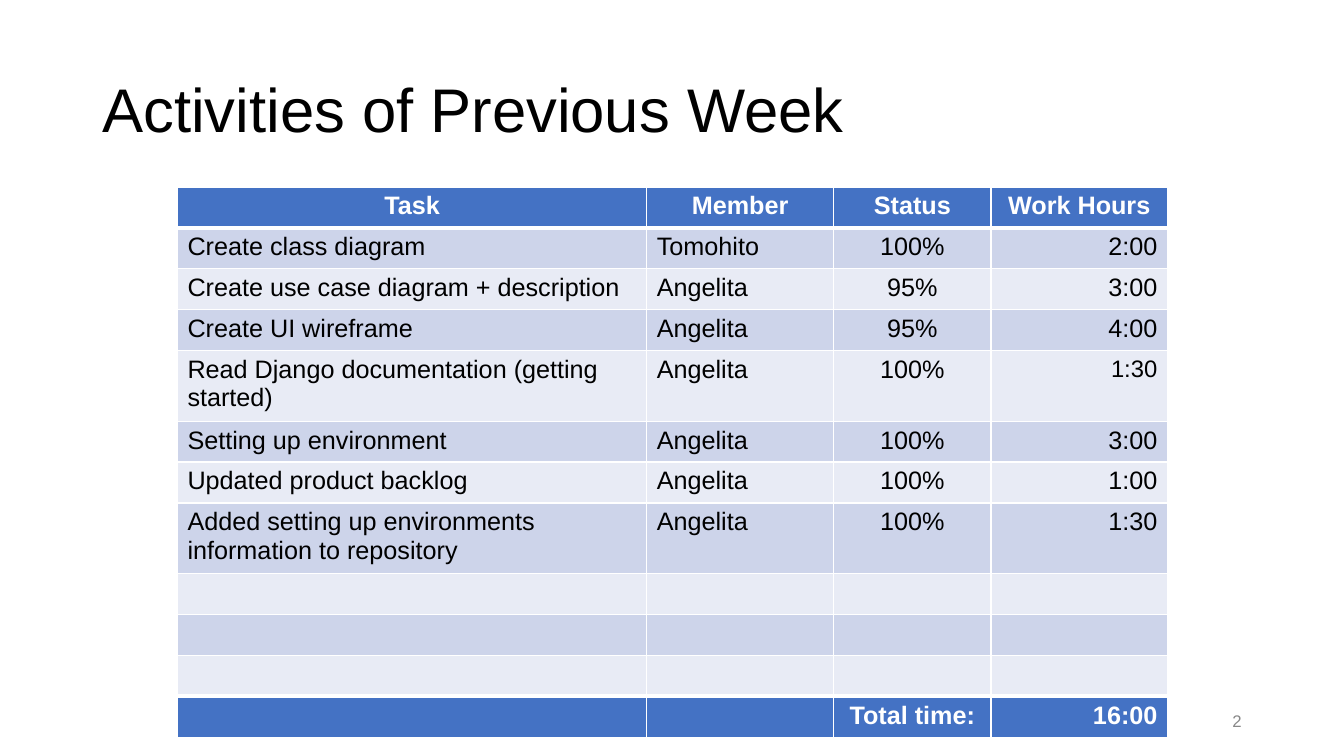
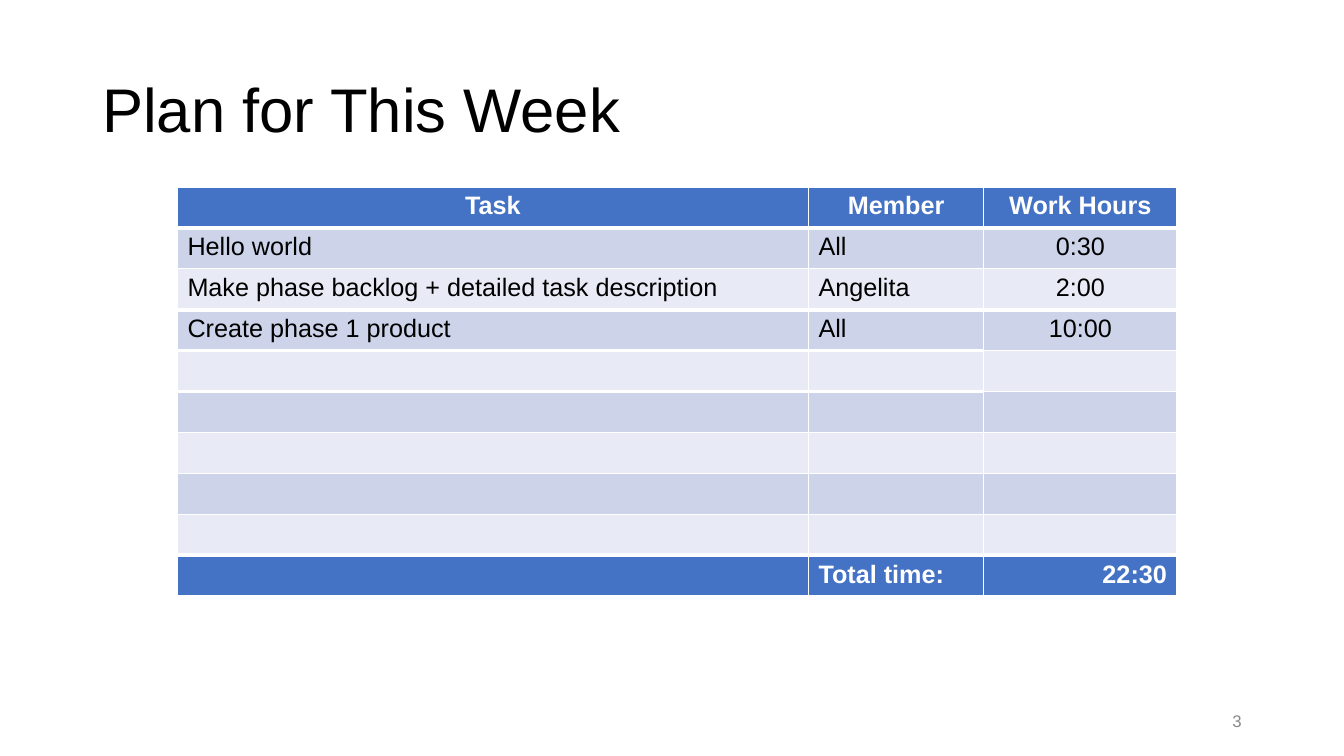
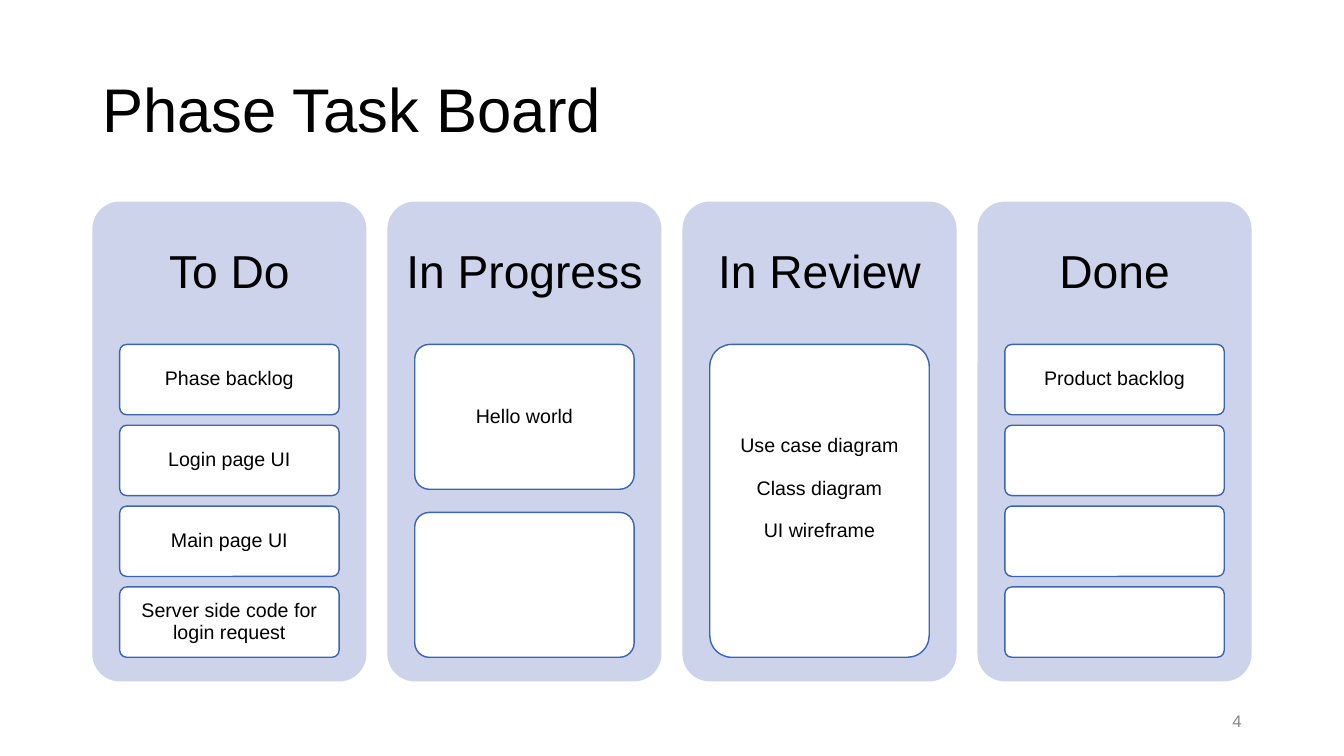
from lxml import etree
from pptx import Presentation
from pptx.dml.color import RGBColor
from pptx.enum.shapes import MSO_SHAPE as Shape
from pptx.enum.text import MSO_ANCHOR as Anchor, PP_ALIGN as Align
from pptx.oxml.ns import qn
from pptx.util import Emu, Pt

FONT = "Arial"
BLACK, WHITE, GREY = "000000", "FFFFFF", "888888"
BLUE, DARK_BLUE, PANEL = "4472C4", "3A66B1", "CCD3EA"
STRIPES = ("E8EBF5", "CDD4EA")
THIN, THICK = 1, 3
LEFT, CENTER, RIGHT = Align.LEFT, Align.CENTER, Align.RIGHT


def px(length):
    return Emu(length * 9525)


def color(value):
    return RGBColor.from_string(value)


def set_borders(cell, top, bottom):
    """Draw white cell borders; top and bottom are widths in points."""
    properties = cell._tc.get_or_add_tcPr()
    sides = (("lnL", THIN), ("lnR", THIN), ("lnT", top), ("lnB", bottom))
    for index, (side, width) in enumerate(sides):
        line = etree.Element(qn("a:" + side), w=str(Pt(width)))
        fill = etree.SubElement(line, qn("a:solidFill"))
        etree.SubElement(fill, qn("a:srgbClr"), val=WHITE)
        properties.insert(index, line)


class Slides:
    def __init__(self):
        self.deck = Presentation()
        self.deck.slide_width, self.deck.slide_height = px(1280), px(720)
        self.page = None

    def start(self, title, number):
        self.page = self.deck.slides.add_slide(self.deck.slide_layouts[6])
        self.text(title, 88, 38, 1104, 139, 44, spacing=0.9)
        self.text(str(number), 904, 667, 288, 38, 12, GREY, RIGHT)

    def paragraphs(self, frame, lines, size, ink=BLACK, align=LEFT, bold=False,
                   spacing=None, gap=0):
        """Fill a text frame, one paragraph per line, gap points apart."""
        for index, line in enumerate(lines):
            para = frame.add_paragraph() if index else frame.paragraphs[0]
            para.alignment = align
            if spacing:
                para.line_spacing = spacing
            if index:
                para.space_before = Pt(gap)
            span = para.add_run()
            span.text = line
            span.font.name = FONT
            span.font.size = Pt(size)
            span.font.bold = bold
            span.font.color.rgb = color(ink)

    def text(self, words, left, top, width, height, size, ink=BLACK,
             align=LEFT, spacing=None):
        box = self.page.shapes.add_textbox(px(left), px(top), px(width), px(height))
        frame = box.text_frame
        frame.word_wrap = True
        frame.vertical_anchor = Anchor.MIDDLE
        self.paragraphs(frame, [words], size, ink, align, spacing=spacing)

    def rounded(self, left, top, width, height, fill, line=None):
        box = self.page.shapes.add_shape(
            Shape.ROUNDED_RECTANGLE, px(left), px(top), px(width), px(height))
        box.adjustments[0] = 0.1
        box.shadow.inherit = False
        box.fill.solid()
        box.fill.fore_color.rgb = color(fill)
        if line:
            box.line.color.rgb = color(line)
            box.line.width = Pt(1)
        else:
            box.line.fill.background()
        return box

    def card(self, left, top, width, height, lines):
        box = self.rounded(left, top, width, height, WHITE, DARK_BLUE)
        frame = box.text_frame
        frame.word_wrap = True
        frame.vertical_anchor = Anchor.MIDDLE
        frame.margin_left = frame.margin_right = px(4)
        frame.margin_top = px(3)
        frame.margin_bottom = px(26 if len(lines) > 1 else 3)
        self.paragraphs(frame, lines, 14, align=CENTER, spacing=0.9, gap=15)

    def column(self, left, heading, cards, gap):
        """Draw a board column whose cards share its height evenly."""
        top, height = 328, 298
        self.rounded(left, 192, 261, 457, PANEL)
        self.text(heading, left, 192, 261, 137, 33, align=CENTER, spacing=0.9)
        each = (height - gap * (len(cards) - 1)) // len(cards)
        for index, lines in enumerate(cards):
            self.card(left + 26, top + index * (each + gap), 209, each, lines)

    def table(self, widths, aligns, rows, thick=None, sizes=None):
        """thick maps a row to how many of its cells have a thick lower edge;
        sizes maps (row, column) to a font size other than 18."""
        last = len(rows) - 1
        thick = {0: len(widths), last - 1: len(widths), **(thick or {})}
        sizes = sizes or {}
        table = self.page.shapes.add_table(
            len(rows), len(widths), px(169), px(178),
            px(sum(widths)), px(39 * len(rows))).table
        table.first_row = table.horz_banding = False
        for column, width in zip(table.columns, widths):
            column.width = px(width)
        for r, words in enumerate(rows):
            strong = r in (0, last)
            for c, align in enumerate(aligns):
                cell = table.cell(r, c)
                cell.fill.solid()
                cell.fill.fore_color.rgb = color(BLUE if strong else STRIPES[r % 2])
                top, bottom = (THICK if c < thick.get(row, 0) else THIN
                               for row in (r - 1, r))
                set_borders(cell, top, bottom)
                if r == 0:
                    align = CENTER
                elif r == last and c == len(widths) - 1:
                    align = RIGHT
                if words[c]:
                    self.paragraphs(cell.text_frame, [words[c]], sizes.get((r, c), 18),
                                    WHITE if strong else BLACK, align, strong)


def main():
    slides = Slides()

    slides.start("Activities of Previous Week", 2)
    slides.table(
        (447, 178, 150, 168), (LEFT, LEFT, CENTER, RIGHT),
        [
            ("Task", "Member", "Status", "Work Hours"),
            ("Create class diagram", "Tomohito", "100%", "2:00"),
            ("Create use case diagram + description", "Angelita", "95%", "3:00"),
            ("Create UI wireframe", "Angelita", "95%", "4:00"),
            ("Read Django documentation (getting started)", "Angelita", "100%", "1:30"),
            ("Setting up environment", "Angelita", "100%", "3:00"),
            ("Updated product backlog", "Angelita", "100%", "1:00"),
            ("Added setting up environments information to repository",
             "Angelita", "100%", "1:30"),
            *[("",) * 4] * 3,
            ("", "", "Total time:", "16:00"),
        ],
        sizes={(4, 3): 17})

    slides.start("Plan for This Week", 3)
    slides.table(
        (601, 167, 184), (LEFT, LEFT, CENTER),
        [
            ("Task", "Member", "Work Hours"),
            ("Hello world", "All", "0:30"),
            ("Make phase backlog + detailed task description", "Angelita", "2:00"),
            ("Create phase 1 product", "All", "10:00"),
            *[("",) * 3] * 5,
            ("", "Total time:", "22:30"),
        ],
        thick={2: 3, 3: 2, 4: 2})

    slides.start("Phase Task Board", 4)
    board = (
        ("To Do", [["Phase backlog"], ["Login page UI"], ["Main page UI"],
                   ["Server side code for login request"]], 10),
        ("In Progress", [["Hello world"], []], 22),
        ("In Review", [["Use case diagram", "Class diagram", "UI wireframe"]], 0),
        ("Done", [["Product backlog"], [], [], []], 10),
    )
    for index, (heading, cards, gap) in enumerate(board):
        slides.column(88 + 281 * index, heading, cards, gap)

    slides.deck.save("out.pptx")


if __name__ == "__main__":
    main()
